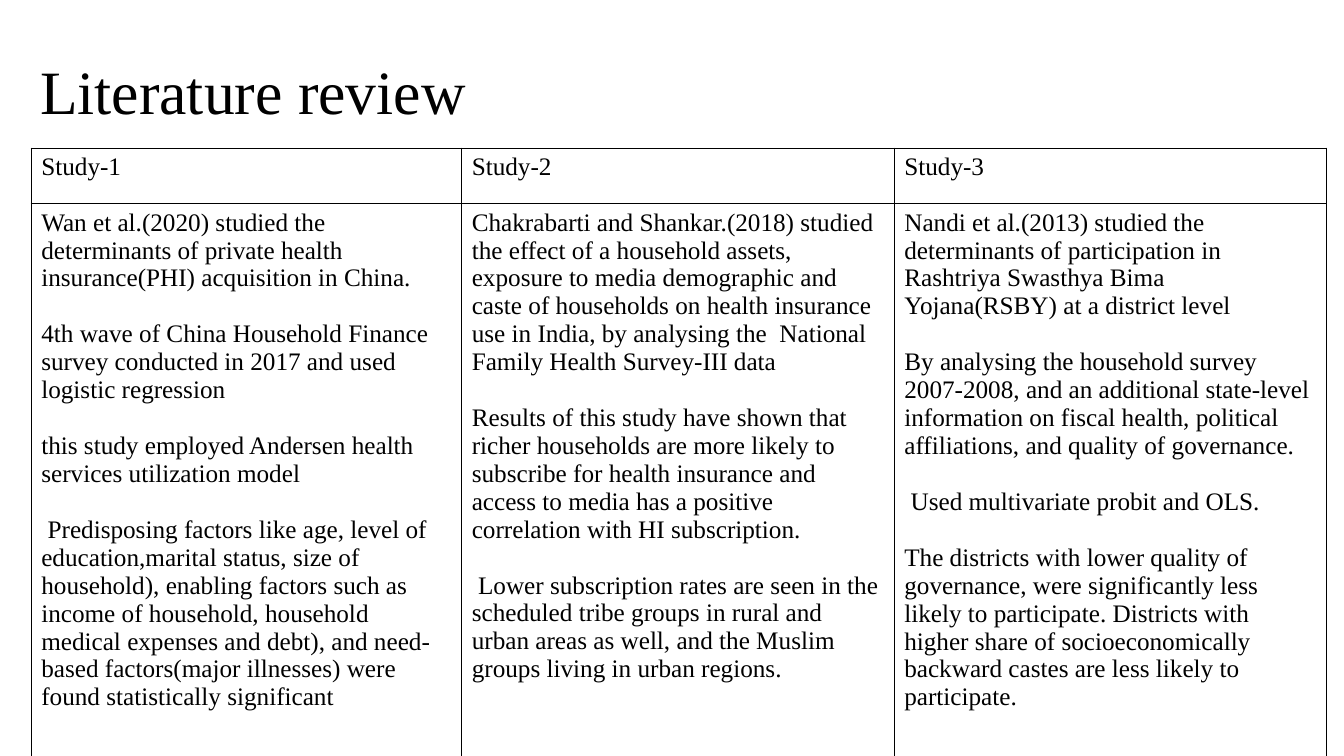
from pptx import Presentation
from pptx.dml.color import RGBColor
from pptx.enum.text import MSO_ANCHOR
from pptx.oxml import parse_xml
from pptx.oxml.ns import nsdecls
from pptx.util import Inches, Pt

TITLE = "Literature review"
STUDIES = {
    "Study-1": [
        "Wan et al.(2020) studied the determinants of private health insurance(PHI) "
        "acquisition in China.",
        "4th wave of China Household Finance survey conducted in 2017 and used "
        "logistic regression",
        "this study employed Andersen health services utilization model",
        " Predisposing factors like age, level of education,marital status, size of "
        "household), enabling factors such as income of household, household medical "
        "expenses and debt), and need-based factors(major illnesses) were found "
        "statistically significant",
    ],
    "Study-2": [
        "Chakrabarti and Shankar.(2018) studied the effect of a household assets, "
        "exposure to media demographic and caste of households on health insurance "
        "use in India, by analysing the  National Family Health Survey-III data",
        "Results of this study have shown that richer households are more likely to "
        "subscribe for health insurance and access to media has a positive "
        "correlation with HI subscription.",
        " Lower subscription rates are seen in the scheduled tribe groups in rural "
        "and urban areas as well, and the Muslim groups living in urban regions.",
    ],
    "Study-3": [
        "Nandi et al.(2013) studied the determinants of participation in Rashtriya "
        "Swasthya Bima Yojana(RSBY) at a district level",
        "By analysing the household survey 2007-2008, and an additional state-level "
        "information on fiscal health, political affiliations, and quality of "
        "governance.",
        " Used multivariate probit and OLS.",
        "The districts with lower quality of governance, were significantly less "
        "likely to participate. Districts with higher share of socioeconomically "
        "backward castes are less likely to participate.",
    ],
}

FONT, INK = "Times New Roman", "000000"
WIDTH, HEIGHT = 13.33, 7.5
TITLE_BOX = (0.3, 0.4, 12.12, 1.07)
TABLE_LEFT, TABLE_TOP = 0.31, 1.47
COLUMNS = (4.27, 4.29, 4.29)
ROWS = (0.55, 6.75)
BODY_SIZE, PARAGRAPH_GAP = 18, 20


def color(value):
    return RGBColor.from_string(value)


def write(frame, lines, size, gap=0):
    """Fill a text frame with one paragraph per line, spaced by gap points."""
    frame.text = "\n".join(lines)
    for index, para in enumerate(frame.paragraphs):
        para.space_before = Pt(gap if index else 0)
        for span in para.runs:
            span.font.name = FONT
            span.font.size = Pt(size)
            span.font.bold = False
            span.font.color.rgb = color(INK)


def add_borders(cell, width=1):
    properties = cell._tc.get_or_add_tcPr()
    for position, side in enumerate(("lnL", "lnR", "lnT", "lnB")):
        line = parse_xml(
            f'<a:{side} {nsdecls("a")} w="{Pt(width)}"><a:solidFill>'
            f'<a:srgbClr val="{INK}"/></a:solidFill></a:{side}>'
        )
        properties.insert(position, line)


def add_title(page):
    box = page.shapes.add_textbox(*map(Inches, TITLE_BOX))
    frame = box.text_frame
    frame.word_wrap = True
    frame.vertical_anchor = MSO_ANCHOR.MIDDLE
    write(frame, [TITLE], 44)
    frame.paragraphs[0].line_spacing = 0.9


def add_studies(page):
    area = map(Inches, (TABLE_LEFT, TABLE_TOP, sum(COLUMNS), sum(ROWS)))
    table = page.shapes.add_table(len(ROWS), len(COLUMNS), *area).table
    table.first_row = table.horz_banding = False
    for row, height in zip(table.rows, ROWS):
        row.height = Inches(height)
    for index, (name, findings) in enumerate(STUDIES.items()):
        table.columns[index].width = Inches(COLUMNS[index])
        for row, lines in enumerate(([name], findings)):
            cell = table.cell(row, index)
            cell.fill.background()
            add_borders(cell)
            write(cell.text_frame, lines, BODY_SIZE, PARAGRAPH_GAP)


def main():
    deck = Presentation()
    deck.slide_width, deck.slide_height = Inches(WIDTH), Inches(HEIGHT)
    page = deck.slides.add_slide(deck.slide_layouts[6])
    add_title(page)
    add_studies(page)
    deck.save("out.pptx")


if __name__ == "__main__":
    main()
